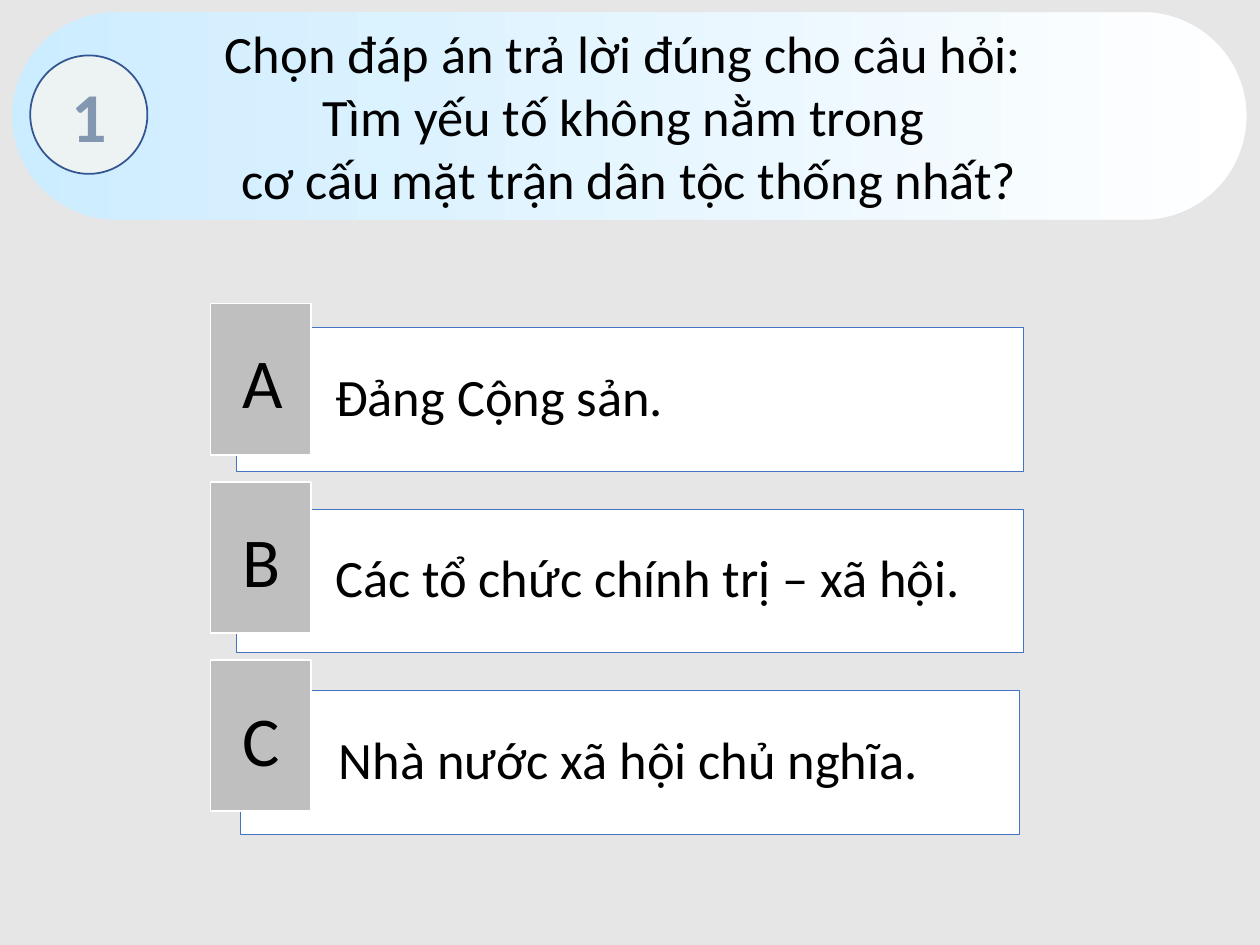
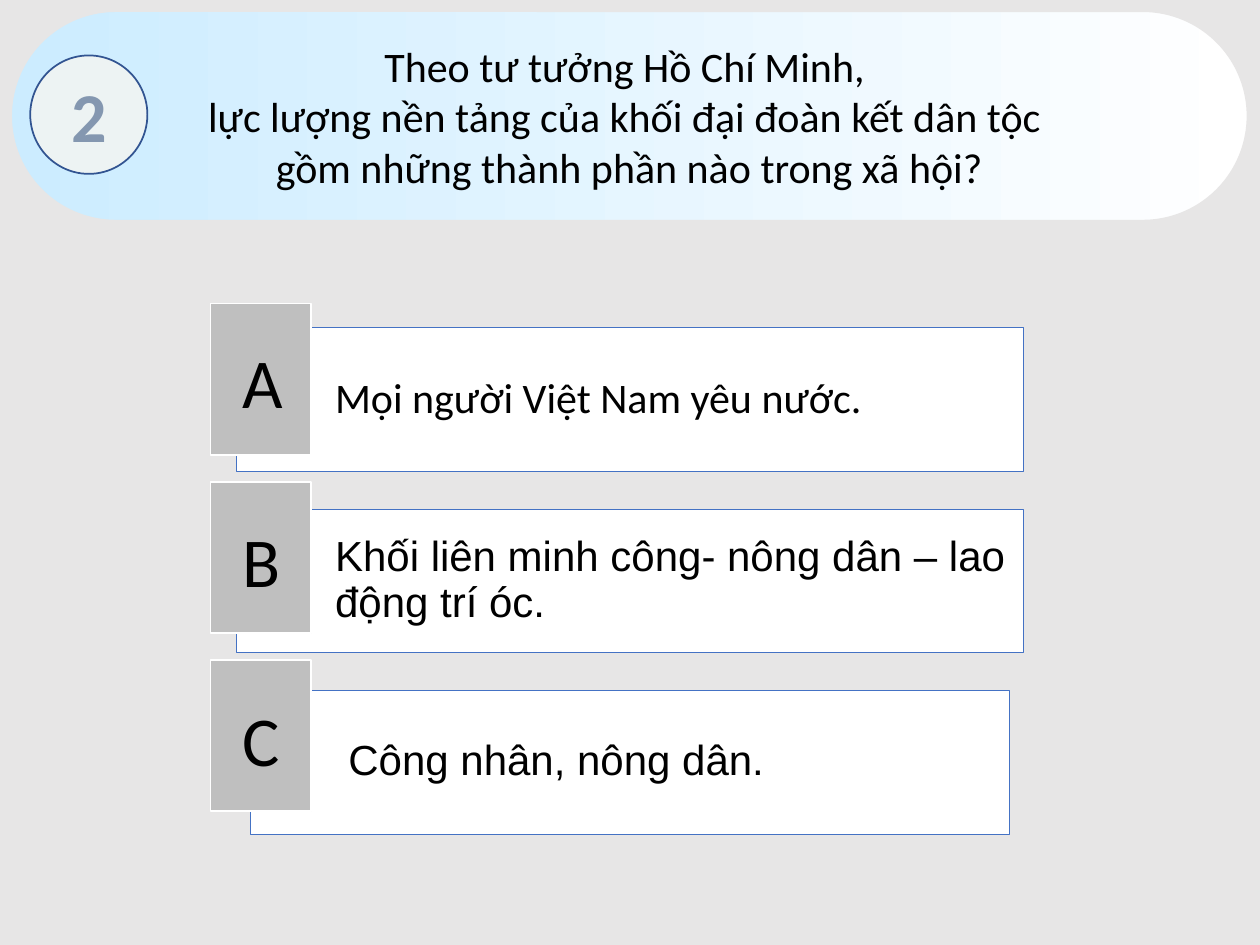
from pptx import Presentation
from pptx.dml.color import RGBColor
from pptx.enum import shapes, text
from pptx.util import Pt

kinds = shapes.MSO_SHAPE
left, mid = text.PP_ALIGN.LEFT, text.PP_ALIGN.CENTER


def tint(code):
    return RGBColor.from_string(code)


def write(frame, lines, frame_look, font_look, para_look, ink="000000"):
    for key, value in frame_look.items():
        setattr(frame, key, value)
    for i, line in enumerate(lines):
        para = frame.add_paragraph() if i else frame.paragraphs[0]
        for key, value in para_look.items():
            setattr(para, key, value)
        run = para.add_run()
        run.text = line
        for key, value in font_look.items():
            setattr(run.font, key, value)
        run.font.color.rgb = tint(ink)


gray = "E7E6E6"
center = {"alignment": mid}
middle = {"vertical_anchor": text.MSO_ANCHOR.MIDDLE, "word_wrap": True}
large = {"name": "Calibri", "size": Pt(40)}

quiz = [
    {
        "ask": ["Chọn đáp án trả lời đúng cho câu hỏi: ",
                "Tìm yếu tố không nằm trong ",
                "cơ cấu mặt trận dân tộc thống nhất?"],
        "size": 30,
        "pad": 8.64,
        "picks": [("Đảng Cộng sản.", "Calibri", 449.28),
                  ("Các tổ chức chính trị – xã hội.", "Calibri", 449.28),
                  ("Nhà nước xã hội chủ nghĩa.", "Calibri", 444.96)],
    },
    {
        "ask": ["Theo tư tưởng Hồ Chí Minh, ",
                "lực lượng nền tảng của khối đại đoàn kết dân tộc ",
                "gồm những thành phần nào trong xã hội?"],
        "size": 24,
        "pad": 7.2,
        "picks": [("Mọi người Việt Nam yêu nước.", "Calibri", 449.28),
                  ("Khối liên minh công- nông dân – lao động trí óc.", "Arial", 449.28),
                  ("Công nhân, nông dân.", "Arial", 434.16)],
    },
]

deck = Presentation()
deck.slide_width, deck.slide_height = Pt(720), Pt(540)

for num, item in enumerate(quiz, 1):
    slide = deck.slides.add_slide(deck.slide_layouts[6])
    back = slide.background.fill
    back.solid()
    back.fore_color.rgb = tint(gray)

    band = slide.shapes.add_shape(kinds.ROUNDED_RECTANGLE, Pt(5.76), Pt(5.76), Pt(707.76), Pt(120.96))
    band.adjustments[0] = 0.5
    band.shadow.inherit = False
    band.fill.gradient()
    band.fill.gradient_angle = 0
    for stop, code in zip(band.fill.gradient_stops, ("CCECFF", "FFFFFF")):
        stop.color.rgb = tint(code)
    band.line.color.rgb = tint(gray)
    band.line.width = Pt(2.25)
    write(band.text_frame, item["ask"], {**middle, "word_wrap": False},
          {"name": "Calibri", "size": Pt(item["size"])}, center)

    specs = [(kinds.OVAL, (17.28, 31.68, 66.96, 67.68), "EDF3F3", "325491", 1)]
    for row, (words, face, wide) in enumerate(item["picks"]):
        specs += [
            (kinds.RECTANGLE, (360 - wide / 2, 187.2 + 103.68 * row, wide, 82.08), "FFFFFF", "4472C4", 0.5),
            (kinds.RECTANGLE, (120.24, 173.52 + 101.88 * row, 57.6, 86.4), "BFBFBF", "FFFFFF", 1),
        ]
    made = []
    for kind, area, fill, edge, width in specs:
        shape = slide.shapes.add_shape(kind, *map(Pt, area))
        shape.shadow.inherit = False
        shape.fill.solid()
        shape.fill.fore_color.rgb = tint(fill)
        shape.line.color.rgb = tint(edge)
        shape.line.width = Pt(width)
        made.append(shape)

    write(made[0].text_frame, [str(num)], middle, {**large, "bold": True}, center, "8497B0")
    pad = Pt(item["pad"])
    inset = {**middle, "margin_left": Pt(56.16), "margin_right": pad,
             "margin_top": pad, "margin_bottom": pad}
    for row, (words, face, wide) in enumerate(item["picks"]):
        write(made[1 + 2 * row].text_frame, [words], inset,
              {"name": face, "size": Pt(item["size"])},
              {"alignment": left, "line_spacing": 0.9})
        mark = slide.shapes.add_textbox(Pt(131.76), Pt(190.08 + 102.24 * row), Pt(41.76), Pt(55.44))
        write(mark.text_frame, ["ABC"[row]], {"word_wrap": True}, large, {"alignment": left})

deck.save("out.pptx")
